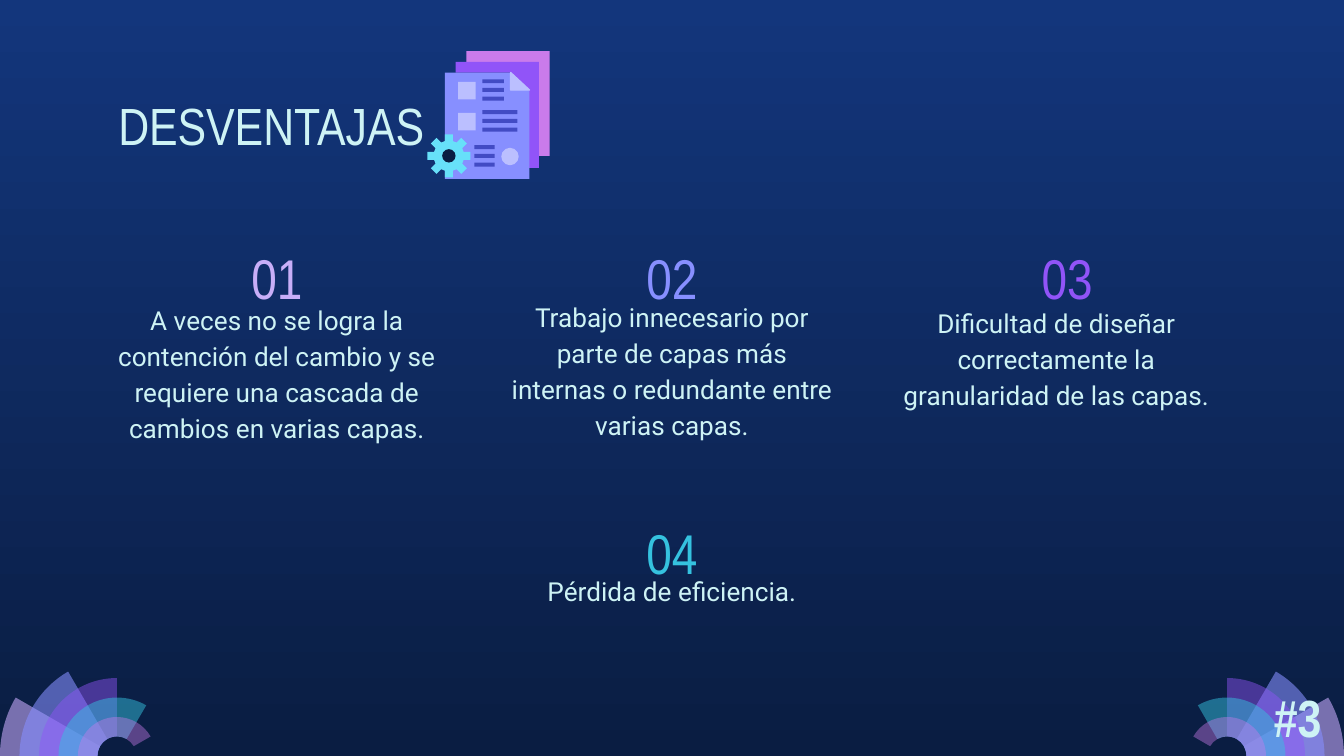
from math import cos, sin, tan, radians
from lxml.etree import SubElement
from pptx import Presentation
from pptx.dml.color import RGBColor
from pptx.enum.shapes import MSO_SHAPE as Kind
from pptx.enum.text import MSO_ANCHOR as Anchor, MSO_AUTO_SIZE as Fit, PP_ALIGN as Align
from pptx.oxml.ns import qn
from pptx.util import Inches, Pt

W, H = 10, 5.625
SKY = RGBColor(0x13, 0x36, 0x7C)
NAVY = RGBColor(0x0A, 0x1D, 0x42)
PALE = RGBColor(0xCE, 0xF3, 0xF5)
LILAC = RGBColor(0xC8, 0xAC, 0xFD)
MAUVE = RGBColor(0xC8, 0xAE, 0xF8)
BLUE = RGBColor(0x87, 0x8F, 0xFF)
VIOLET = RGBColor(0x91, 0x54, 0xF8)
TEAL = RGBColor(0x35, 0xC2, 0xDF)
PINK = RGBColor(0xCA, 0x7B, 0xEB)
CYAN = RGBColor(0x67, 0xE0, 0xF9)
MIST = RGBColor(0xBB, 0xBF, 0xFF)
INK = RGBColor(0x42, 0x4B, 0xC4)

deck = Presentation()
deck.slide_width, deck.slide_height = Inches(W), Inches(H)
slide = deck.slides.add_slide(deck.slide_layouts[5])
shapes = slide.shapes


def draw(dots, color):
    """Draw a closed outline through points given in inches."""
    dots = [(x * 1000, y * 1000) for x, y in dots]
    pen = shapes.build_freeform(*dots[0], scale=914.4)
    pen.add_line_segments(dots[1:])
    form = pen.convert_to_shape()
    form.shadow.inherit = False
    form.fill.solid()
    form.fill.fore_color.rgb = color
    form.line.fill.background()
    return form


def write(box, place, text, size, color, face="Arial Narrow",
          align=Align.CENTER, anchor=Anchor.TOP):
    """Place a text box or placeholder and put one run in it."""
    box.left, box.top, box.width, box.height = map(Inches, place)
    frame = box.text_frame
    frame.word_wrap, frame.auto_size = True, Fit.NONE
    frame.vertical_anchor = anchor
    frame.margin_left = frame.margin_right = Inches(0.1)
    frame.margin_top = frame.margin_bottom = Inches(0.1)
    para = frame.paragraphs[0]
    para.alignment = align
    run = para.add_run()
    run.text = text
    run.font.size, run.font.name = Pt(size), face
    run.font.color.rgb = color
    return para


# Background
back = slide.background.fill
back.gradient()
back.gradient_angle = 270
for stop, color, pos in zip(back.gradient_stops, (SKY, NAVY), (0, 1)):
    stop.color.rgb, stop.position = color, pos

# Corner fans: each ring is one step smaller and sweeps 30 degrees further
STEP = 0.145
rings = [(LILAC, 58), (BLUE, 58), (VIOLET, 46), (TEAL, 49), (PINK, 42)]
for mid, side in ((0.87, -1), (W - 0.87, 1)):
    for n, (color, alpha) in enumerate(rings, 1):
        # Bezier points of a unit arc, in spans of at most 90 degrees
        arc = [(1, 0)]
        for low in range(0, 30 * n, 90):
            a, b = radians(low), radians(min(low + 90, 30 * n))
            k = 4 / 3 * tan((b - a) / 4)
            arc += [(cos(a) - k * sin(a), sin(a) + k * cos(a)),
                    (cos(b) + k * sin(b), sin(b) - k * cos(b)), (cos(b), sin(b))]
        rim = (7 - n) * STEP
        edge = [(rim * x, rim * y) for x, y in arc]
        edge += [(STEP * x, STEP * y) for x, y in reversed(arc)]
        leaf = draw([(mid + side * x, H - y) for x, y in edge], color)
        # Turn each three steps along an arc into one curve
        lines = list(leaf._element.iter(qn("a:lnTo")))
        size = len(arc) - 1
        for i in (*range(0, size, 3), *range(size + 1, 2 * size + 1, 3)):
            curve = SubElement(lines[i].getparent(), qn("a:cubicBezTo"))
            lines[i].addprevious(curve)
            for line in lines[i:i + 3]:
                curve.append(line[0])
                line.getparent().remove(line)
        tint = leaf.fill._xPr.find(".//" + qn("a:srgbClr"))
        SubElement(tint, qn("a:alpha")).set("val", str(alpha * 1000))

# Title
write(shapes.title, (0.78, 0.59, 8.43, 0.63), "DESVENTAJAS", 28, PALE, align=Align.LEFT)

# Numbered points: column, top, colour, body shift, body drop, body width, text
points = [
    (-1, 1.85, MAUVE, 0, 0.28, 2.64, "A veces no se logra la contención del cambio y se "
     "requiere una cascada de cambios en varias capas."),
    (0, 1.85, BLUE, 0, 0.26, 2.64, "Trabajo innecesario por parte de capas más internas "
     "o redundante entre varias capas."),
    (1, 1.85, VIOLET, -0.08, 0.3, 2.7, "Dificultad de diseñar correctamente la "
     "granularidad de las capas."),
    (0, 3.89, TEAL, 0, 0.26, 2.53, "Pérdida de eficiencia."),
]
for n, (col, top, color, shift, drop, wide, text) in enumerate(points, 1):
    mid = W / 2 + 2.94 * col
    write(shapes.add_textbox(0, 0, 0, 0), (mid - 0.6, top, 1.2, 0.43), f"{n:02}", 30,
          color, anchor=Anchor.MIDDLE)
    para = write(shapes.add_textbox(0, 0, 0, 0),
                 (mid + shift - wide / 2, top + drop, wide, 1.08), text, 14, PALE, "Roboto")
    para.line_spacing, para.space_after = 1.15, Pt(10)

# Slide number
mark = write(shapes.add_textbox(0, 0, 0, 0), (9.38, 5, 0.62, 0.63), "#3", 28, PALE,
             align=Align.LEFT)
mark.runs[0].font.bold = True

# Icon: stacked pages
draw([(3.47, 0.38), (3.47, 0.46), (4.01, 0.46), (4.01, 1.16), (4.09, 1.16), (4.09, 0.38)], PINK)
draw([(3.39, 0.46), (3.39, 0.54), (3.8, 0.54), (3.93, 0.67), (3.93, 1.25), (4.01, 1.25),
      (4.01, 0.46)], VIOLET)
draw([(3.31, 0.54), (3.31, 1.33), (3.94, 1.33), (3.94, 0.68), (3.8, 0.54)], BLUE)

# Icon: gear with eight teeth
GX, GY = 3.34, 1.16
tooth = [(0.11, -0.03), (0.16, -0.03), (0.16, 0.03), (0.11, 0.03)]
draw([(GX + r * cos(t) - w * sin(t), GY + r * sin(t) + w * cos(t))
      for t in map(radians, range(0, 360, 45)) for r, w in tooth], CYAN)

# Icon: gear hole, boxes, dot and lines of text
parts = [(Kind.OVAL, GX - 0.05, GY - 0.05, 0.1, 0.1, NAVY),
         (Kind.RECTANGLE, 3.41, 0.61, 0.13, 0.13, MIST),
         (Kind.RECTANGLE, 3.41, 0.84, 0.13, 0.13, MIST),
         (Kind.OVAL, 3.73, 1.1, 0.13, 0.13, MIST)]
parts += [(Kind.RECTANGLE, x, y + 0.065 * row, wide, 0.03, INK)
          for x, y, wide in ((3.59, 0.59, 0.16), (3.59, 0.82, 0.26), (3.53, 1.08, 0.15))
          for row in range(3)]
for kind, *place, color in parts:
    part = shapes.add_shape(kind, *map(Inches, place))
    part.shadow.inherit = False
    part.fill.solid()
    part.fill.fore_color.rgb = color
    part.line.fill.background()

# Icon: folded corner
fold = draw([(3.8, 0.54), (3.8, 0.67), (3.94, 0.67)], MIST)
fold.line.color.rgb, fold.line.width = MIST, Pt(0.75)

deck.save("out.pptx")
